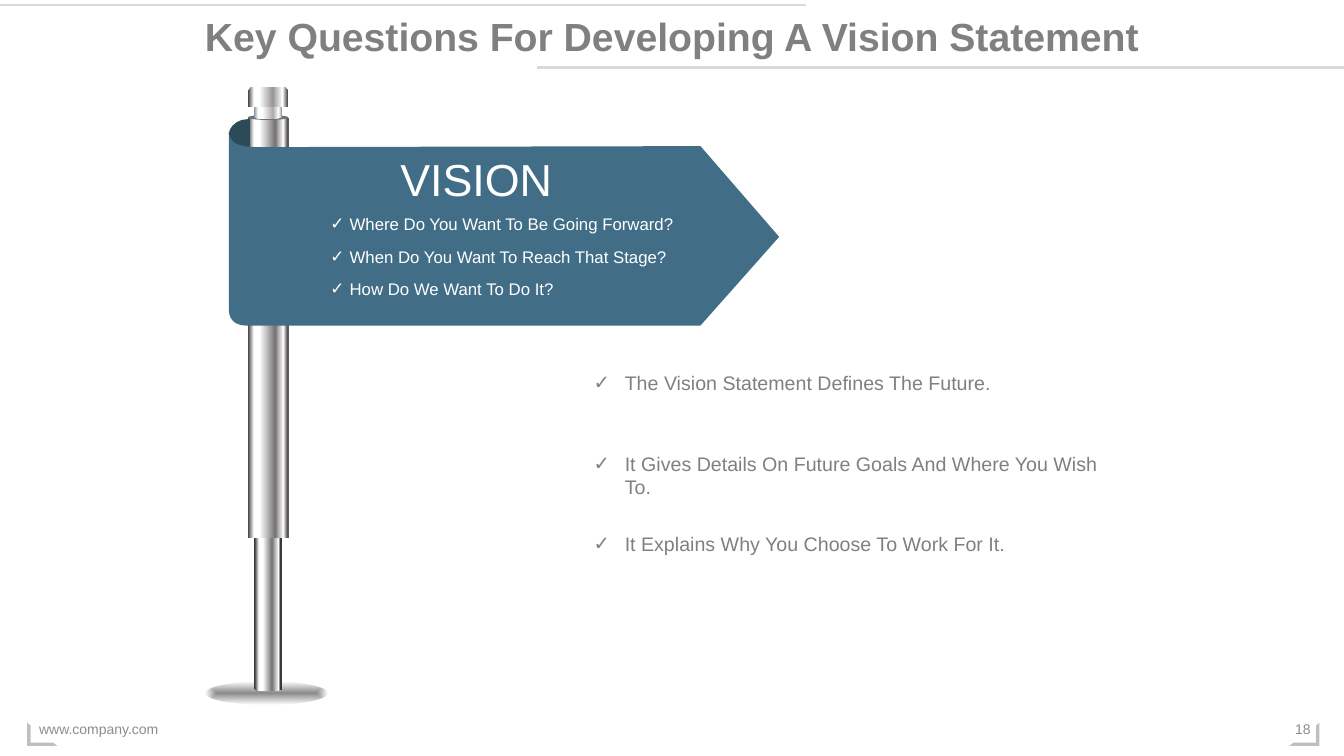
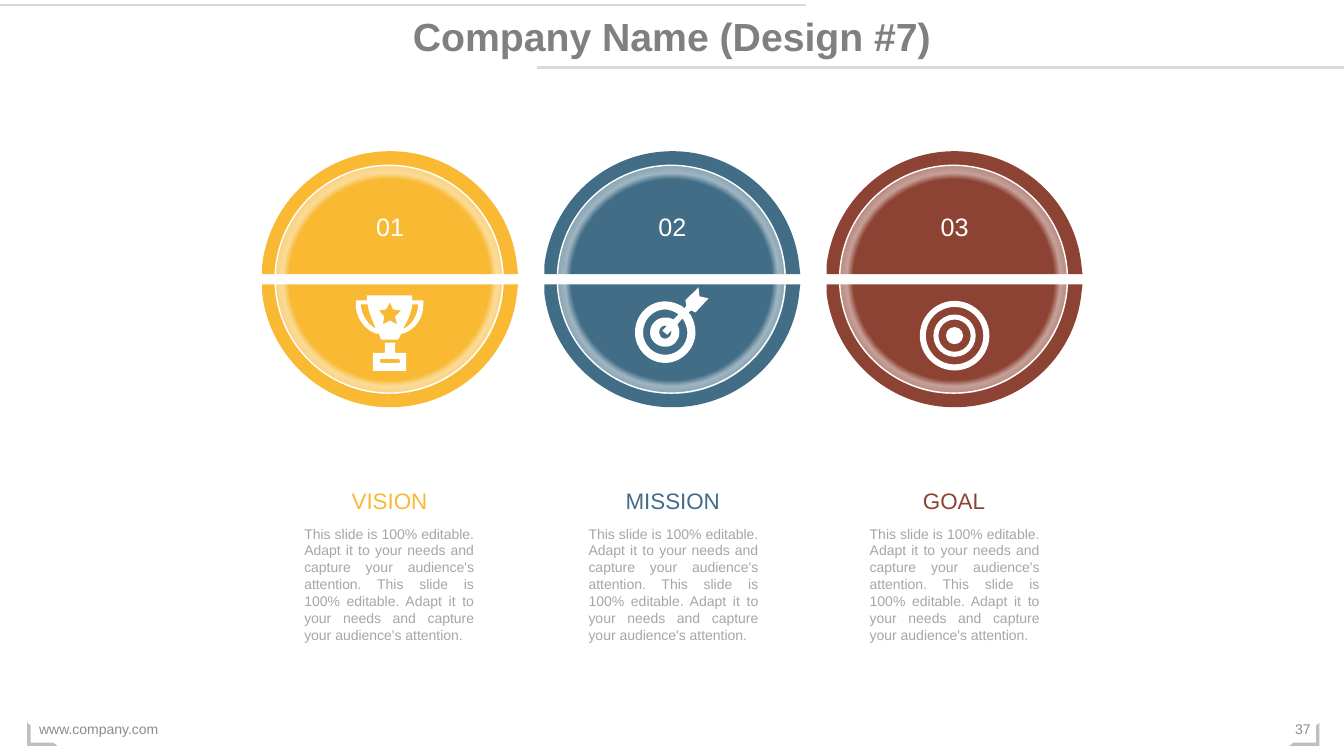
from lxml import etree
from pptx import Presentation
from pptx import util as u
from pptx.dml.color import RGBColor
from pptx.enum import shapes, text
from pptx.oxml import parse_xml
from pptx.oxml.ns import qn

PX = 9144
NS = "http://schemas.openxmlformats.org/drawingml/2006/main"
FONT = "Arial"
HUES = {
    "white": "FFFFFF", "rule": "D9D9D9", "corner": "BFBFBF", "foot": "8C8C8C",
    "text": "808080", "pale": "A6A6A6", "gold": "F9B932", "blue": "416E86",
    "red": "8D4334", "fold": "2C4A5A", "cap": "767171",
}
KIND = shapes.MSO_SHAPE
LEFT, MID, RIGHT, FULL = (text.PP_ALIGN.LEFT, text.PP_ALIGN.CENTER,
                          text.PP_ALIGN.RIGHT, text.PP_ALIGN.JUSTIFY)
TOP, HALF = text.MSO_ANCHOR.TOP, text.MSO_ANCHOR.MIDDLE

SITE = "www.company.com"
RULES = [(0, 5, 800), (533, 67, 1333)]
CORNERS = [(1279, False), (27, True)]

ASKS = [
    (207, 382, "Where Do You Want To Be Going Forward?"),
    (240, 365, "When Do You Want To Reach That Stage?"),
    (272, 254, "How Do We Want To Do It?"),
]
FACTS = [
    (363, 420, "The Vision Statement Defines The Future."),
    (443, 551, "It Gives Details On Future Goals And Where You Wish To."),
    (523, 440, "It Explains Why You Choose To Work For It."),
]
BODY = " ".join(["This slide is 100% editable. Adapt it to your needs and "
                 "capture your audience's attention."] * 2)
GOALS = [("VISION", "gold", 310, 292), ("MISSION", "blue", 591, 574),
         ("GOAL", "red", 870, 853)]

STEEL = [(0, "3B3838"), (15, "FFFFFF"), (29, "FFFFFF"), (68, "767171"),
         (88, "FFFFFF"), (100, "3B3838")]
THIN = [(3, "3B3838"), (18, "FFFFFF"), (32, "FFFFFF"), (64, "767171"),
        (88, "FFFFFF"), (93, "3B3838")]
NECK = [(0, "7A8EAA"), (15, "FFFFFF"), (29, "FFFFFF"), (68, "AFABAB"),
        (88, "FFFFFF"), (100, "7A8EAA")]
KNOB = [(0, "3B3838"), (15, "FFFFFF"), (28, "FFFFFF"), (62, "989494"),
        (86, "FFFFFF"), (100, "3B3838")]
SHADE = [(0, "000000", 46), (100, "000000", 0)]
GLOW = [(62, "FFFFFF", 0), (66, "FFFFFF", 50), (84, "FFFFFF", 0)]

STEM = [[(252, 87), (280, 87), (280, 683), (279, 687, 252, 687, 252, 683)]]
COLLAR = [[(252, 95), (280, 95), (280, 116), (278, 118, 254, 119, 252, 116)]]
FOLD = [[(227, 133), (227, 127, 233, 121, 240, 119), (248, 118), (248, 148),
         (240, 147), (233, 145, 227, 139, 227, 133)]]
SIGN = [[(227, 130), (228, 140, 232, 146, 257, 146), (695, 145), (773, 235),
         (695, 323), (250, 323), (236, 324, 228, 320, 227, 308)]]
DOME = [(0, -127), (66, -127, 120, -77, 126, -13), (127, -5), (-127, -5),
        (-127, -13), (-120, -77, -66, -127, 0, -127)]

CUP = [
    [(409, 302), (409, 303), (408, 311, 404, 319, 400, 326), (401, 326),
     (409, 322, 414, 313, 415, 303), (415, 302)],
    [(358, 302), (358, 303), (359, 313, 365, 322, 373, 326),
     (370, 319, 366, 311, 365, 303), (365, 302)],
    [(387, 300), (383, 307), (376, 308), (381, 314), (380, 322), (387, 318),
     (394, 322), (392, 314), (398, 308), (390, 307)],
    [(364, 293), (409, 293), (409, 298), (420, 298), (420, 302),
     (420, 316, 412, 327, 400, 331), (398, 331), (395, 337), (378, 337),
     (376, 331), (373, 331), (362, 327, 353, 316, 353, 302), (353, 298),
     (364, 298)],
]
BASE = [
    [(378, 356), (377, 356, 377, 357, 377, 358), (377, 359),
     (377, 360, 377, 360, 378, 360), (395, 360),
     (396, 360, 397, 360, 397, 359), (397, 358),
     (397, 357, 396, 356, 395, 356)],
    [(382, 340), (392, 340), (392, 350), (403, 350), (403, 368), (370, 368),
     (370, 350), (382, 350)],
]
DART = [
    [(660, 323), (656, 323, 654, 326, 654, 330),
     (654, 333, 656, 336, 660, 336), (663, 336, 666, 333, 666, 330),
     (666, 328), (662, 332), (657, 328), (661, 324), (661, 323)],
    [(660, 307), (648, 307, 638, 317, 638, 330),
     (638, 342, 648, 352, 660, 352), (672, 352, 682, 342, 682, 330),
     (682, 325, 680, 321, 678, 317), (677, 316), (672, 322), (673, 324),
     (674, 326, 674, 328, 674, 330), (674, 338, 668, 344, 660, 344),
     (652, 344, 645, 338, 645, 330), (645, 321, 652, 315, 660, 315),
     (662, 315, 664, 315, 666, 316), (668, 317), (673, 312), (672, 311),
     (669, 309, 664, 307, 660, 307)],
    [(693, 285), (694, 294), (703, 296), (690, 310), (686, 308), (683, 310),
     (685, 312), (688, 317, 690, 323, 690, 330),
     (690, 346, 676, 360, 660, 360), (643, 360, 630, 346, 630, 330),
     (630, 313, 643, 299, 660, 299), (666, 299, 672, 301, 677, 304),
     (679, 306), (681, 303), (680, 298)],
]
RINGS = [(69, 6), (42, 5)]


def rgb(hue):
    return RGBColor.from_string(HUES[hue])


def say(page, words, box, size, hue, shape=None, bold=False, align=LEFT,
        anchor=TOP, tick=0):
    shape = shape or page.shapes.add_textbox(0, 0, 0, 0)
    shape.left, shape.top, shape.width, shape.height = (n * PX for n in box)
    frame = shape.text_frame
    frame.word_wrap = True
    frame.auto_size = text.MSO_AUTO_SIZE.NONE
    frame.vertical_anchor = anchor
    frame.text = words
    para = frame.paragraphs[0]
    if tick:
        prop = para._p.get_or_add_pPr()
        prop.set("marL", str(tick * PX))
        prop.set("indent", str(-tick * PX))
        etree.SubElement(prop, qn("a:buFont"), typeface=FONT)
        etree.SubElement(prop, qn("a:buChar"), char="✓")
    para.alignment = align
    font = para.runs[0].font
    font.name, font.size, font.bold = FONT, u.Pt(size), bold
    font.color.rgb = rgb(hue)


def blend(shape, stops, form):
    marks = ""
    for pos, tint, *clear in stops:
        alpha = "".join(f'<a:alpha val="{n * 1000}"/>' for n in clear)
        marks += (f'<a:gs pos="{pos * 1000}"><a:srgbClr val="{tint}">'
                  f"{alpha}</a:srgbClr></a:gs>")
    kind = '<a:lin ang="0" scaled="0"/>'
    if form != "line":
        kind = (f'<a:path path="{form}"><a:fillToRect l="50000" t="50000" '
                'r="50000" b="50000"/></a:path>')
    prop = shape.element.spPr
    shape.fill.background()
    prop.replace(prop.find(qn("a:noFill")), parse_xml(
        f'<a:gradFill xmlns:a="{NS}" rotWithShape="1"><a:gsLst>{marks}'
        f"</a:gsLst>{kind}</a:gradFill>"))


def paint(shape, fill, form="line", edge=None):
    shape.shadow.inherit = False
    if isinstance(fill, str):
        shape.fill.solid()
        shape.fill.fore_color.rgb = rgb(fill)
    else:
        blend(shape, fill, form)
    if edge:
        shape.line.color.rgb = rgb(edge)
        shape.line.width = u.Pt(1)
    else:
        shape.line.fill.background()
    return shape


def put(page, kind, box, fill, adj=(), **look):
    shape = page.shapes.add_shape(kind, *(round(n * PX) for n in box))
    for i, val in enumerate(adj):
        shape.adjustments[i] = val
    return paint(shape, fill, **look)


def pairs(step):
    return [(x * PX, y * PX) for x, y in zip(step[::2], step[1::2])]


def bend(shape, steps):
    legs = iter(list(shape.element.spPr.iter(qn("a:lnTo"))))
    for step in steps:
        leg = next(legs)
        if len(step) == 6:
            leg.addprevious(curve := etree.Element(qn("a:cubicBezTo")))
            for part in (leg, next(legs), next(legs)):
                curve.append(part[0])
                part.getparent().remove(part)


def draw(page, loops, fill):
    pen = None
    for loop in loops:
        first = pairs(loop[0])[0]
        if pen:
            pen.move_to(*first)
        else:
            pen = page.shapes.build_freeform(*first)
        dots = [dot for step in loop[1:] for dot in pairs(step)]
        pen.add_line_segments(dots, close=True)
    shape = pen.convert_to_shape()
    bend(shape, [step for loop in loops for step in loop[1:]])
    return paint(shape, fill)


def dress(page):
    parts = []
    for x, y, end in RULES:
        rule = page.shapes.add_connector(
            shapes.MSO_CONNECTOR.STRAIGHT, x * PX, y * PX, end * PX, y * PX)
        rule.line.color.rgb = rgb("rule")
        rule.line.width = u.Pt(1.5)
        etree.SubElement(rule.element.spPr, qn("a:effectLst"))
        parts.append(rule)
    for x, flip in CORNERS:
        corner = put(page, KIND.HALF_FRAME, (x, 717, 30, 23), "corner",
                     adj=(0.14, 0.15))
        corner.rotation = 180
        if flip:
            corner.element.spPr.xfrm.set("flipH", "1")
        parts.append(corner)
    tree = page.slide_layout.shapes.element
    for i, part in enumerate(parts):
        part.element.xpath(".//p:cNvPr")[0].set("id", str(100 + i))
        tree.append(part.element)


def start(deck, title, num):
    page = deck.slides.add_slide(deck.slide_layouts[5])
    say(page, title, (0, 7, 1333, 57), 28, "text", shape=page.shapes.title,
        bold=True, align=MID)
    say(page, SITE, (29, 703, 450, 40), 10, "foot", anchor=HALF)
    say(page, num, (1268, 703, 42, 40), 10, "foot", align=RIGHT, anchor=HALF)
    return page


def ticks(page, items, x, high, size, hue, tick):
    for y, wide, item in items:
        say(page, item, (x, y, wide, high), size, hue, tick=tick)


def post(page):
    put(page, KIND.OVAL, (204, 676, 121, 23), SHADE, form="shape")
    draw(page, STEM, THIN)
    put(page, KIND.RECTANGLE, (246, 117, 40, 417), STEEL)
    put(page, KIND.OVAL, (246, 114, 40, 5), "cap")
    draw(page, COLLAR, NECK)
    put(page, KIND.ROUND_2_SAME_RECTANGLE, (246, 86, 40, 20), KNOB,
        adj=(0.34, 0))
    draw(page, FOLD, "fold")
    draw(page, SIGN, "blue")
    say(page, "VISION", (373, 146, 199, 64), 32, "white", align=MID)
    ticks(page, ASKS, 318, 30, 12, "white", 19)
    ticks(page, FACTS, 579, 34, 14, "text", 31)


def disc(page, mid, hue):
    for side in (1, -1):
        loop = [tuple(277 + side * n if i % 2 else mid + n
                      for i, n in enumerate(step)) for step in DOME]
        draw(page, [loop], hue)
    put(page, KIND.OVAL, (mid - 114, 164, 226, 226), GLOW, form="circle",
        edge="white")


def target(page, mid, y):
    for size, band in RINGS:
        put(page, KIND.DONUT, (mid - size / 2, y - size / 2, size, size),
            "white", adj=(band / size,))
    put(page, KIND.OVAL, (mid - 8.5, y - 8.5, 17, 17), "white")


def trio(page):
    for i, (name, hue, head, body) in enumerate(GOALS):
        mid = 387 + 280 * i
        disc(page, mid, hue)
        say(page, f"{i + 1:02}", (mid - 38, 205, 76, 40), 18, "white", align=MID)
        say(page, name, (head, 478, 153, 37), 16, hue, align=MID)
        say(page, BODY, (body, 516, 188, 128), 10, "pale", align=FULL)
    for icon in (CUP, BASE, DART):
        draw(page, icon, "white")
    target(page, 947, 333)


def main():
    deck = Presentation()
    deck.slide_width, deck.slide_height = u.Inches(40 / 3), u.Inches(7.5)
    page = start(deck, "Key Questions For Developing A Vision Statement", "18")
    dress(page)
    post(page)
    trio(start(deck, "Company Name (Design #7)", "37"))
    deck.save("out.pptx")


if __name__ == "__main__":
    main()
